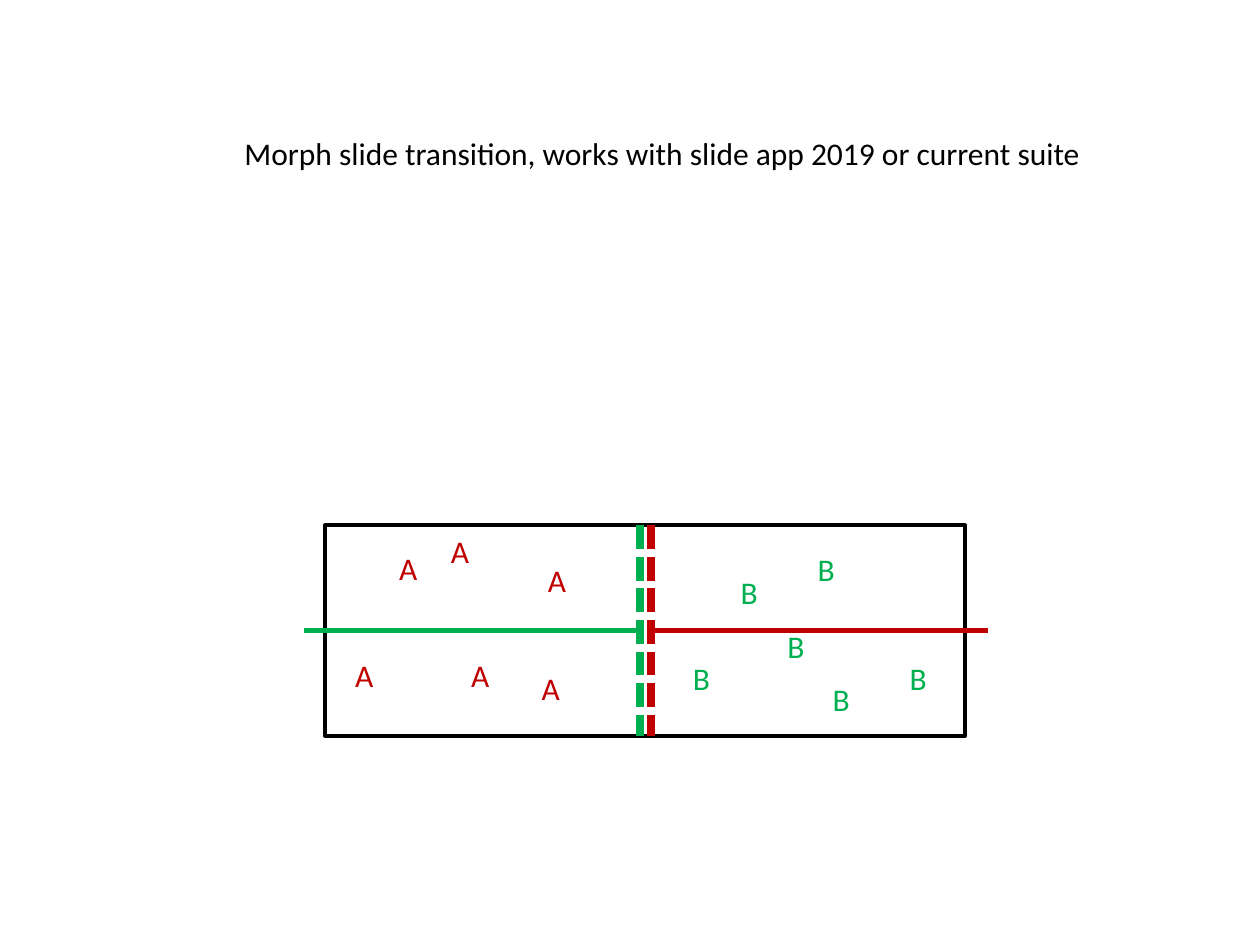
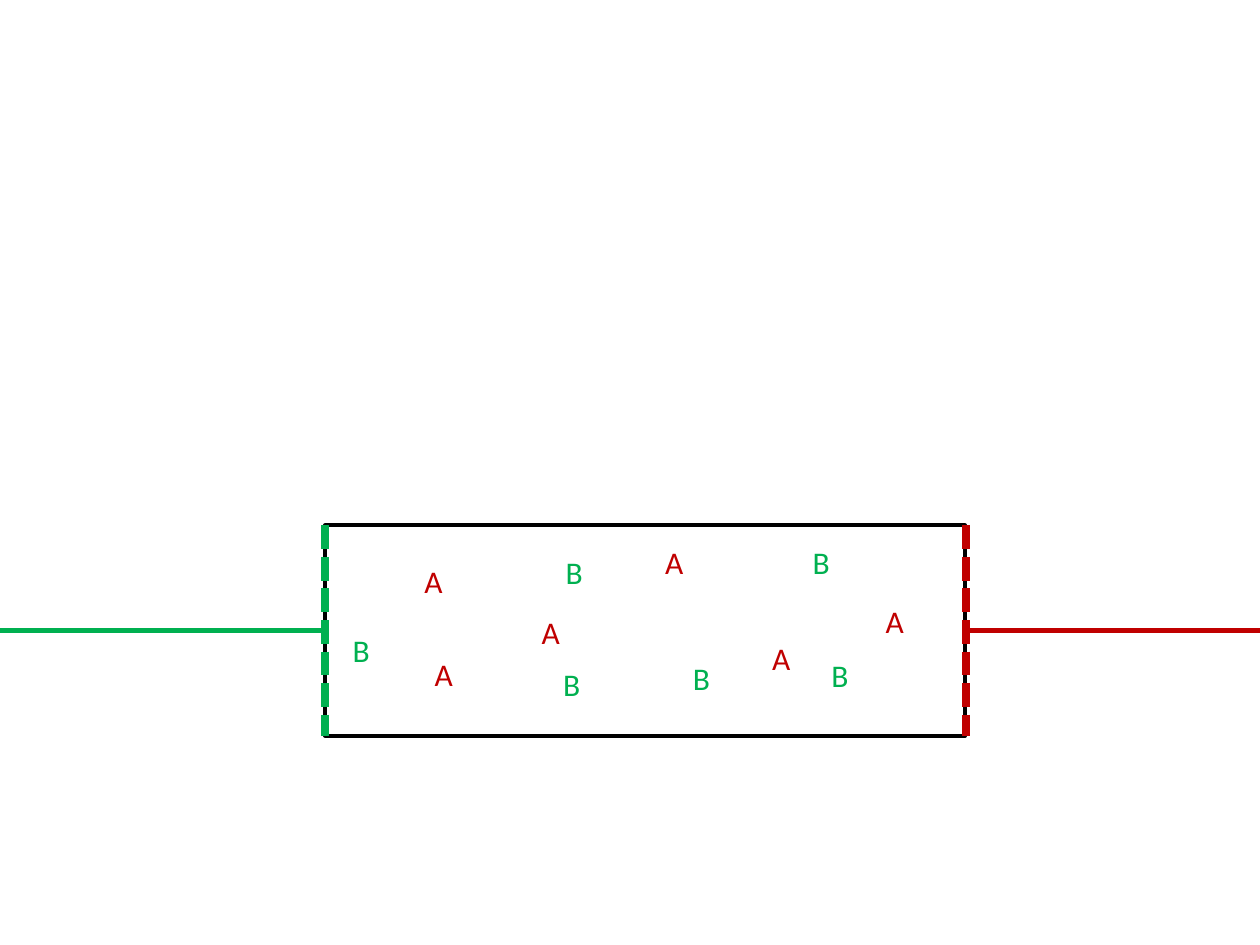
from lxml.etree import SubElement
from pptx import Presentation
from pptx.dml.color import RGBColor
from pptx.enum.dml import MSO_LINE
from pptx.enum.shapes import MSO_CONNECTOR, MSO_SHAPE
from pptx.enum.text import MSO_ANCHOR, MSO_AUTO_SIZE, PP_ALIGN
from pptx.oxml.ns import qn
from pptx.util import Inches, Pt

BLACK = RGBColor(0x00, 0x00, 0x00)
RED = RGBColor(0xC0, 0x00, 0x00)
GREEN = RGBColor(0x00, 0xB0, 0x50)

# Content: piston positions and the top-left corner of every particle label
SLIDES = [
    {
        "title": "Morph slide transition, works with slide app 2019 or current suite",
        "pistons": {"green": 5.08, "red": 5.17},
        "particles": {
            "A": [(3.07, 4.31), (4.2, 5.26), (4.25, 4.4),
                  (3.48, 4.17), (3.64, 5.16), (2.72, 5.16)],
            "B": [(5.4, 5.18), (6.39, 4.32), (7.12, 5.18),
                  (6.15, 4.93), (5.78, 4.5), (6.51, 5.35)],
        },
    },
    {
        "title": None,
        "pistons": {"green": 2.58, "red": 7.67},
        "particles": {
            "A": [(3.27, 4.41), (6.03, 5.02), (4.2, 4.82),
                  (6.93, 4.73), (3.35, 5.15), (5.18, 4.26)],
            "B": [(5.4, 5.18), (6.5, 5.16), (6.35, 4.26),
                  (4.39, 4.34), (2.7, 4.96), (4.37, 5.23)],
        },
    },
]

# Shared look
PARTICLE_COLORS = {"A": RED, "B": GREEN}
PISTON_STYLES = {"green": (GREEN, -1), "red": (RED, 1)}  # colour, rod direction
TEXT_FORMAT = {"name": "Calibri", "size": Pt(18), "bold": False}
FRAME_FORMAT = {"word_wrap": True, "vertical_anchor": MSO_ANCHOR.TOP,
                "auto_size": MSO_AUTO_SIZE.NONE,
                "margin_left": Inches(0.1), "margin_right": Inches(0.1),
                "margin_top": Inches(0.05), "margin_bottom": Inches(0.05)}

# Geometry in inches
SLIDE_WIDTH, SLIDE_HEIGHT = 10, 7.5
TITLE_AREA = (1.84, 1.01, 7.11, 0.4)
CHAMBER = (2.58, 4.17, 5.08, 1.67)
PARTICLE_SIZE = (0.75, 0.5)
ROD_LENGTH = 2.67
TITLE_ONLY, BLANK = 5, 6


def inches(values):
    return [Inches(value) for value in values]


def apply(target, values):
    for name, value in values.items():
        setattr(target, name, value)


def write(box, text, color):
    frame = box.text_frame
    apply(frame, FRAME_FORMAT)
    para = frame.paragraphs[0]
    para.alignment = PP_ALIGN.LEFT
    span = para.add_run()
    span.text = text
    apply(span.font, TEXT_FORMAT)
    span.font.color.rgb = color


def add_title(page, text):
    title = page.shapes.title
    apply(title, dict(zip(("left", "top", "width", "height"), inches(TITLE_AREA))))
    write(title, text, BLACK)


def add_chamber(page):
    chamber = page.shapes.add_shape(MSO_SHAPE.RECTANGLE, *inches(CHAMBER))
    chamber.shadow.inherit = False
    chamber.fill.background()
    chamber.line.color.rgb = BLACK
    chamber.line.width = Pt(2.25)


def add_line(shapes, ends, color, width, dash=None):
    connector = shapes.add_connector(MSO_CONNECTOR.STRAIGHT, *inches(ends))
    connector.line.color.rgb = color
    apply(connector.line, {"width": Pt(width), "dash_style": dash})
    SubElement(connector.element.spPr, qn("a:effectLst"))


def add_piston(page, x, color, direction):
    """Group a dashed membrane at x with the rod that pushes it."""
    top, height = CHAMBER[1], CHAMBER[3]
    middle = top + height / 2
    shapes = page.shapes.add_group_shape().shapes
    add_line(shapes, (x, top, x, top + height), color, 4.5, MSO_LINE.SQUARE_DOT)
    add_line(shapes, (x + direction * ROD_LENGTH, middle, x, middle), color, 3)


def add_particle(page, letter, corner):
    box = page.shapes.add_textbox(*inches(corner + PARTICLE_SIZE))
    write(box, letter, PARTICLE_COLORS[letter])


def add_page(deck, content):
    layout = TITLE_ONLY if content["title"] else BLANK
    page = deck.slides.add_slide(deck.slide_layouts[layout])
    if content["title"]:
        add_title(page, content["title"])
    add_chamber(page)
    for name, x in content["pistons"].items():
        add_piston(page, x, *PISTON_STYLES[name])
    for letter, corners in content["particles"].items():
        for corner in corners:
            add_particle(page, letter, corner)


def main():
    deck = Presentation()
    deck.slide_width, deck.slide_height = inches((SLIDE_WIDTH, SLIDE_HEIGHT))
    for content in SLIDES:
        add_page(deck, content)
    deck.save("out.pptx")


if __name__ == "__main__":
    main()
